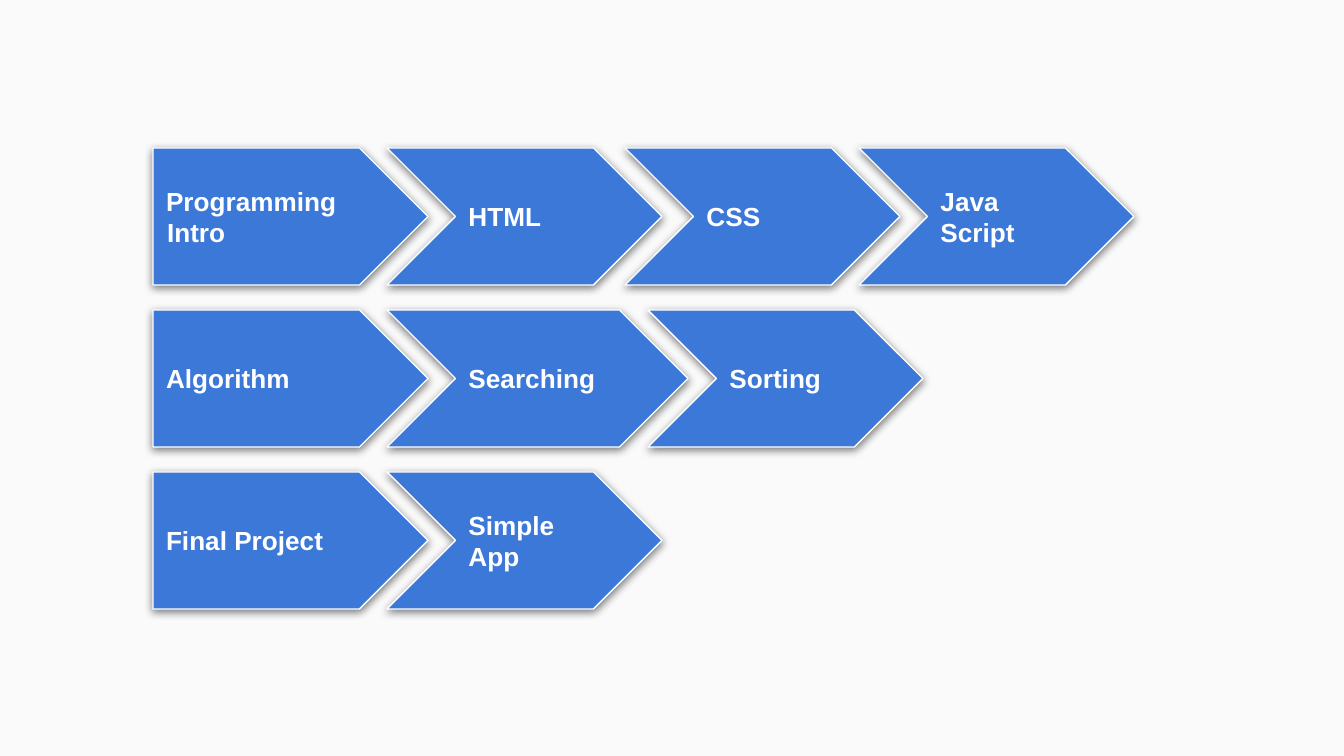
from lxml.etree import SubElement
from pptx import Presentation
from pptx.dml.color import RGBColor
from pptx.enum.shapes import MSO_SHAPE
from pptx.enum.text import MSO_ANCHOR, PP_ALIGN
from pptx.oxml.ns import qn
from pptx.util import Pt

PX = 914400 / 134.4
COLORS = {"background": "FAFAFA", "step": "3C78D8", "text": "FFFFFF", "edge": "FFFFFF", "shadow": "000000"}
FIRST_TOP, ROW_PITCH = 148, 162
STEP_WIDTH, STEP_HEIGHT = 275, 137
TRACKS = [
    [(153, STEP_WIDTH, ["Programming Intro"]), (387, STEP_WIDTH, ["HTML"]),
     (625, STEP_WIDTH, ["CSS"]), (859, STEP_WIDTH, ["Java", "Script"])],
    [(153, STEP_WIDTH, ["Algorithm"]), (387, 301, ["Searching"]), (648, STEP_WIDTH, ["Sorting"])],
    [(153, STEP_WIDTH, ["Final Project"]), (387, STEP_WIDTH, ["Simple", "App"])],
]


def emu(px):
    """Turn px into EMU."""
    return round(px * PX)


def color(name):
    """Look up a named colour."""
    return RGBColor.from_string(COLORS[name])


def write_text(frame, lines, *, size=14, bold=True, font="Arial", tint="text", inset=13, hanging=1):
    """Fill a text frame with one paragraph per line."""
    frame.word_wrap = True
    frame.vertical_anchor = MSO_ANCHOR.MIDDLE
    frame.margin_left = frame.margin_right = frame.margin_top = frame.margin_bottom = emu(inset)
    for index, line in enumerate(lines):
        paragraph = frame.add_paragraph() if index else frame.paragraphs[0]
        paragraph.alignment = PP_ALIGN.LEFT
        properties = paragraph._p.get_or_add_pPr()
        properties.set("marL", str(emu(hanging)))
        properties.set("indent", str(-emu(hanging)))
        run = paragraph.add_run()
        run.text = line
        run.font.name, run.font.size, run.font.bold = font, Pt(size), bold
        run.font.color.rgb = color(tint)


class Roadmap:
    """Hold the style and the current slide."""

    def __init__(self, deck):
        """Add a blank slide with its background."""
        self.slide = deck.slides.add_slide(deck.slide_layouts[6])
        background = self.slide.background.fill
        background.solid()
        background.fore_color.rgb = color("background")

    def shadow(self, step):
        """Drop a soft shadow below a step."""
        step.shadow.inherit = False
        effects = step._element.spPr.find(qn("a:effectLst"))
        outer = SubElement(effects, qn("a:outerShdw"), blurRad=str(Pt(4.5)), dist=str(Pt(1.5)),
                           dir="5400000", algn="bl", rotWithShape="0")
        tint = SubElement(outer, qn("a:srgbClr"), val=COLORS["shadow"])
        SubElement(tint, qn("a:alpha"), val="50000")

    def step(self, kind, left, top, width, lines):
        """Draw one labelled arrow step."""
        step = self.slide.shapes.add_shape(kind, emu(left), emu(top), emu(width), emu(STEP_HEIGHT))
        step.adjustments[0] = 0.5
        step.fill.solid()
        step.fill.fore_color.rgb = color("step")
        step.line.color.rgb = color("edge")
        step.line.width = Pt(0.75)
        self.shadow(step)
        write_text(step.text_frame, lines)


def main():
    """Build and save the roadmap."""
    deck = Presentation()
    deck.slide_width, deck.slide_height = emu(1344), emu(756)
    roadmap = Roadmap(deck)
    for row, track in enumerate(TRACKS):
        for column, (left, width, lines) in enumerate(track):
            kind = MSO_SHAPE.CHEVRON if column else MSO_SHAPE.PENTAGON
            roadmap.step(kind, left, FIRST_TOP + row * ROW_PITCH, width, lines)
    deck.save("out.pptx")


if __name__ == "__main__":
    main()
